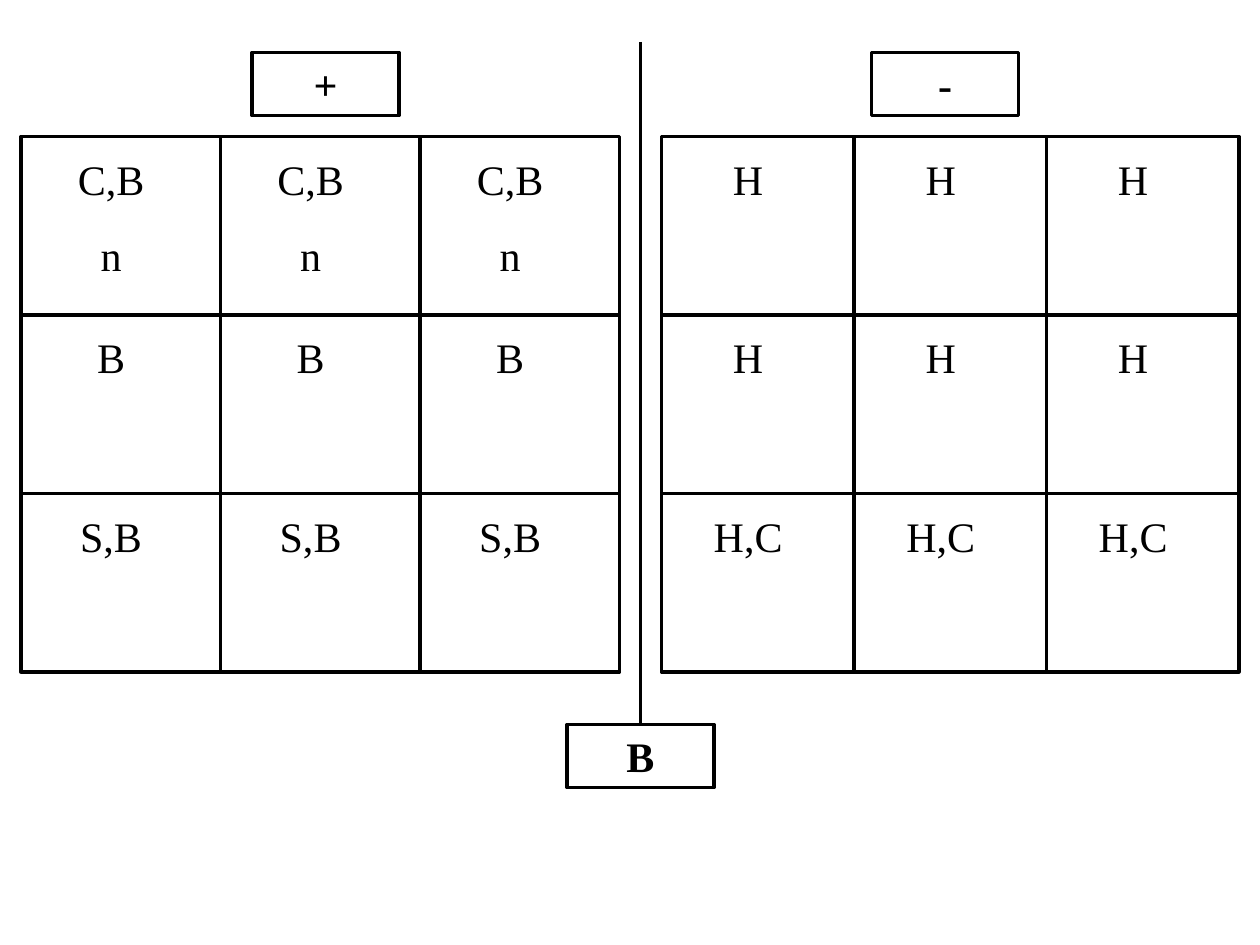
"""Build a slide with two three-by-three grids of letters, split by a line."""
from lxml import etree
from pptx import Presentation
from pptx.dml.color import RGBColor
from pptx.enum.shapes import MSO_CONNECTOR, MSO_SHAPE
from pptx.enum.text import MSO_ANCHOR, MSO_AUTO_SIZE, PP_ALIGN
from pptx.util import Pt

RECT = MSO_SHAPE.RECTANGLE
LINE = MSO_CONNECTOR.STRAIGHT
TOP = MSO_ANCHOR.TOP
GROW = MSO_AUTO_SIZE.SHAPE_TO_FIT_TEXT
MID = PP_ALIGN.CENTER
BLACK = RGBColor.from_string("000000")
DRAWING = "http://schemas.openxmlformats.org/drawingml/2006/main"


def add_rect(left, top, width, height):
    box = slide.shapes.add_shape(RECT, Pt(left), Pt(top), Pt(width), Pt(height))
    box.shadow.inherit = False
    box.fill.background()
    box.line.color.rgb = BLACK
    box.line.width = Pt(2)
    return box


def write(box, text, bold=False):
    frame = box.text_frame
    frame.text = text
    frame.word_wrap = True
    frame.auto_size = GROW
    frame.vertical_anchor = TOP
    for para in frame.paragraphs:
        para.alignment = MID
        para.space_before = Pt(15)
        for run in para.runs:
            run.font.name = "Times New Roman"
            run.font.size = Pt(24)
            run.font.bold = bold
            run.font.color.rgb = BLACK


deck = Presentation()
deck.slide_width = Pt(720)
deck.slide_height = Pt(540)
slide = deck.slides.add_slide(deck.slide_layouts[6])

grids = [
    (12, 114, [("C,B\nn", 80), ("B", 80), ("S,B", 80)]),
    (378, 110, [("H", 80), ("H", 36), ("H,C", 36)]),
]
for start, width, rows in grids:
    for row, (text, tall) in enumerate(rows):
        top = 78 + row * 102
        for col in range(3):
            left = start + col * width
            add_rect(left, top, width, 102)
            note = slide.shapes.add_textbox(
                Pt(left), Pt(top + 6), Pt(width - 11), Pt(tall))
            write(note, text)

split = slide.shapes.add_connector(LINE, Pt(366), Pt(24), Pt(366), Pt(414))
split.line.color.rgb = BLACK
split.line.width = Pt(2)
etree.SubElement(split._element.spPr, f"{{{DRAWING}}}effectLst")

for text, left, top in [("+", 144, 30), ("-", 498, 30), ("B", 324, 414)]:
    write(add_rect(left, top, 84, 36), text, bold=True)

deck.save("out.pptx")
